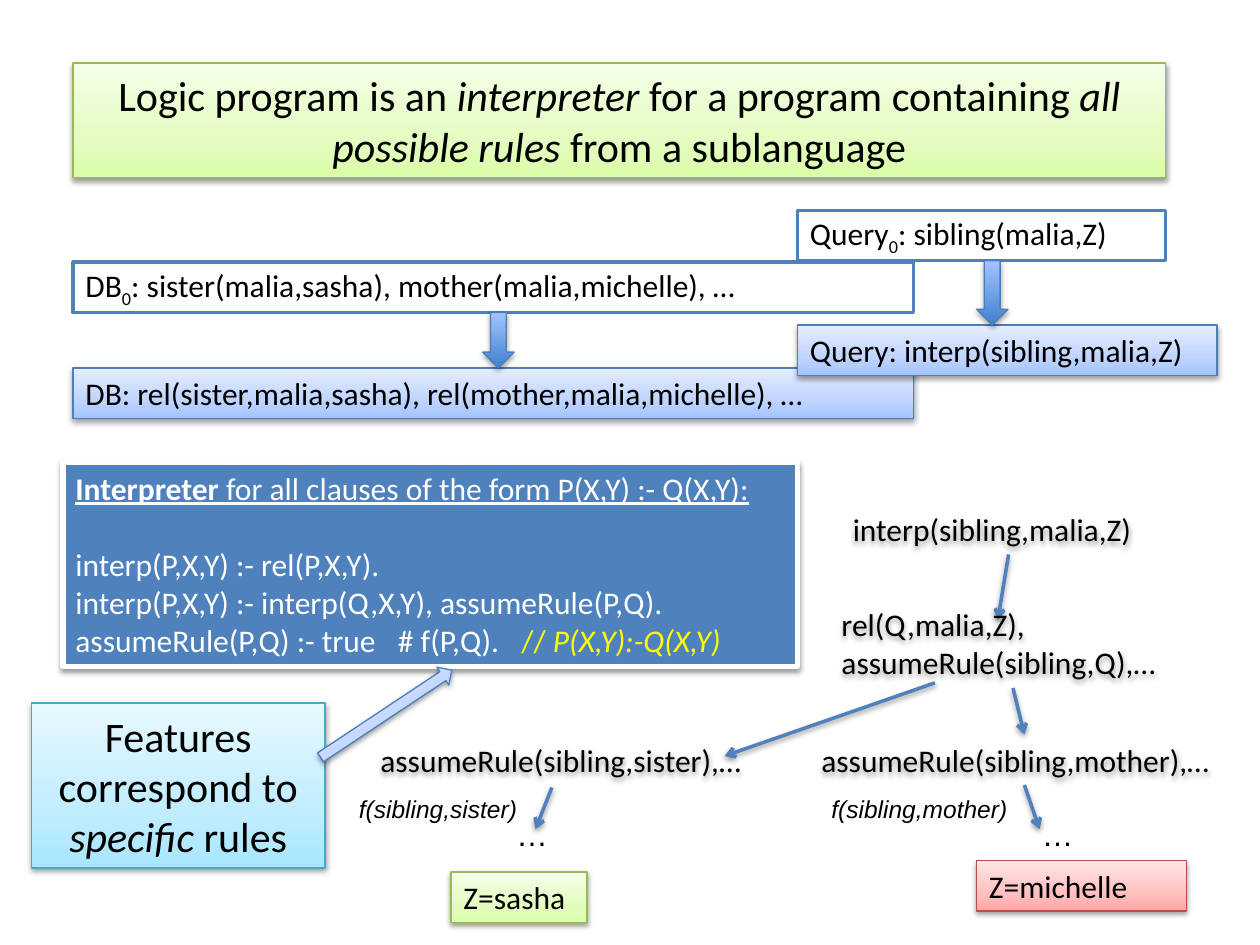
from copy import deepcopy

from lxml import etree
from pptx import Presentation
from pptx.dml.color import RGBColor as RGB
from pptx.enum.shapes import MSO_CONNECTOR as Link, MSO_SHAPE as Geo
from pptx.enum.text import MSO_ANCHOR as Anchor, MSO_AUTO_SIZE as Auto, PP_ALIGN as Align
from pptx.oxml.ns import qn
from pptx.util import Inches, Pt

BLACK = RGB(0x00, 0x00, 0x00)
WHITE = RGB(0xFF, 0xFF, 0xFF)
YELLOW = RGB(0xFF, 0xFF, 0x00)
BLUE = RGB(0x4F, 0x81, 0xBD)
EDGE = RGB(0x4B, 0x7E, 0xBC)
LIME = RGB(0x98, 0xB9, 0x55)
TEAL = RGB(0x46, 0xAA, 0xC5)
BRICK = RGB(0xBF, 0x4C, 0x48)
GREENS = (RGB(0xDA, 0xFD, 0xA7), RGB(0xE4, 0xFC, 0xC2), RGB(0xF5, 0xFF, 0xE7))
BLUES = (RGB(0xA4, 0xC4, 0xFF), RGB(0xBF, 0xD4, 0xFF), RGB(0xE6, 0xEE, 0xFF))
AQUAS = (RGB(0xA7, 0xE6, 0xFF), RGB(0xC1, 0xED, 0xFF), RGB(0xE7, 0xF8, 0xFF))
REDS = (RGB(0xFF, 0xA6, 0xA5), RGB(0xFF, 0xC0, 0xBF), RGB(0xFF, 0xE7, 0xE7))
DEEP = (RGB(0x3F, 0x80, 0xCE), RGB(0xA4, 0xC4, 0xFF))
ITALIC = {"italic": True}
ROW = 0.4


def shade(shape, on=True):
    """Give a shape a soft shadow below it, or none."""
    props = shape._element.spPr
    for old in props.findall(qn("a:effectLst")):
        props.remove(old)
    group = etree.SubElement(props, qn("a:effectLst"))
    if on:
        cast = etree.SubElement(group, qn("a:outerShdw"), blurRad="40000",
                                dist="20000", dir="5400000", rotWithShape="0")
        tint = etree.SubElement(cast, qn("a:srgbClr"), val="000000")
        etree.SubElement(tint, qn("a:alpha"), val="38000")


def paint(shape, fill, edge, width=0.75, shadow=True):
    """Fill a shape with one colour or an upward gradient, and outline it."""
    if isinstance(fill, RGB):
        shape.fill.solid()
        shape.fill.fore_color.rgb = fill
    else:
        shape.fill.gradient()
        shape.fill.gradient_angle = 90
        first = next(shape._element.spPr.iter(qn("a:gs")))
        if len(fill) == 3:
            first.addnext(deepcopy(first))
        places = (0, 0.35, 1) if len(fill) == 3 else (0, 1)
        for stop, color, place in zip(shape.fill.gradient_stops, fill, places):
            stop.color.rgb = color
            stop.position = place
    shape.line.color.rgb = edge
    shape.line.width = Pt(width)
    shade(shape, shadow)


def write(para, parts, size=18, color=BLACK, face="Calibri", align=Align.LEFT):
    """Write runs given as (text, font settings) pairs."""
    para.alignment = align
    for text, style in parts:
        run = para.add_run()
        run.text = text
        font = run.font
        font.name, font.size = face, Pt(size)
        font.color.rgb = style.get("color", color)
        for name in ("bold", "italic", "underline"):
            setattr(font, name, style.get(name, False))
        if "base" in style:
            font._element.set("baseline", style["base"])


def panel(slide, box, fill, edge, width=0.75, shadow=True, kind=Geo.RECTANGLE):
    """Add a painted shape at a box in inches."""
    shape = slide.shapes.add_shape(kind, *map(Inches, box))
    paint(shape, fill, edge, width, shadow)
    shape.text_frame.word_wrap = True
    return shape


def label(slide, box, text, glow=True, **look):
    """Add plain text at a box in inches."""
    shape = slide.shapes.add_textbox(*map(Inches, box))
    shape.text_frame.word_wrap = True
    write(shape.text_frame.paragraphs[0], [(text, look.pop("style", {}))], **look)
    if glow:
        shade(shape)
    return shape


def arrow(slide, start, end, source=None, target=None):
    """Draw an arrow, joined to a source's bottom or a target's top."""
    line = slide.shapes.add_connector(Link.STRAIGHT, *map(Inches, start + end))
    line.line.color.rgb = BLUE
    line.line.width = Pt(2)
    etree.SubElement(line.line._get_or_add_ln(), qn("a:tailEnd"), type="arrow")
    shade(line)
    if source is not None:
        line.begin_connect(source, 2)
    if target is not None:
        line.end_connect(target, 0)


def head(slide, box):
    """Fill the title banner."""
    title = slide.shapes.title
    title.left, title.top, title.width, title.height = map(Inches, box)
    paint(title, GREENS, LIME)
    frame = title.text_frame
    frame.auto_size = Auto.NONE
    frame.word_wrap = True
    write(frame.paragraphs[0], [
        ("Logic program is an ", {}), ("interpreter", ITALIC),
        (" for a program containing ", {}), ("all possible rules ", ITALIC),
        ("from a sublanguage", {})], 24, align=Align.CENTER)


def code(slide, box):
    """Place the interpreter's clauses."""
    shape = panel(slide, box, BLUE, WHITE, 3)
    frame = shape.text_frame
    frame.vertical_anchor = Anchor.TOP
    lines = [
        [("Interpreter", {"bold": True, "underline": True}),
         (" for all clauses of the form P(X,Y) :- Q(X,Y):", {"underline": True})],
        [("interp(P,X,Y) :- rel(P,X,Y).", {})],
        [("interp(P,X,Y) :- interp(Q,X,Y), assumeRule(P,Q).", {})],
        [("assumeRule(P,Q) :- true\t# f(P,Q).\t", {}), ("// ", {"color": YELLOW}),
         ("P(X,Y):-Q(X,Y)", {"color": YELLOW, "italic": True})]]
    paras = [frame.paragraphs[0]] + [frame.add_paragraph() for _ in lines[1:]]
    tabs = etree.SubElement(paras[-1]._p.get_or_add_pPr(), qn("a:tabLst"))
    for place in (2.56, 3.54):
        etree.SubElement(tabs, qn("a:tab"), pos=str(Inches(place)), algn="l")
    for para, parts in zip(paras, lines):
        write(para, parts, color=WHITE)
    paras[1].space_before = Pt(22)


def recast(slide, box, wide, mid, name, facts, result):
    """Place a statement, its rewritten form below, and the arrow between."""
    left, top, width, height = box
    shape = panel(slide, (left, top, width, ROW), WHITE, BLUE, 2, False)
    write(shape.text_frame.paragraphs[0],
          [(name, {}), ("0", {"base": "-25000"}), (facts, {})])
    below = panel(slide, (left, top + height - ROW, wide, ROW), BLUES, EDGE)
    write(below.text_frame.paragraphs[0], [(result, {})])
    panel(slide, (left + mid, top + ROW, 0.25, height - 2 * ROW), DEEP, EDGE,
          kind=Geo.DOWN_ARROW)


def note(slide, box):
    """Place the remark on features and its pointer."""
    left, top, width, height = box
    shape = panel(slide, box, AQUAS, TEAL)
    write(shape.text_frame.paragraphs[0], [
        ("Features correspond to ", {}), ("specific ", ITALIC), ("rules", {})],
        24, align=Align.CENTER)
    hint = panel(slide, (left + 2.19, top, 1.25, 0.17), BLUES, EDGE,
                 kind=Geo.RIGHT_ARROW)
    hint.rotation = 326.4


def tree(slide, box):
    """Place the proof tree with its two branches."""
    x, y = box[:2]
    root = label(slide, (x + 3.92, y, 2.67, ROW), "interp(sibling,malia,Z)")
    arrow(slide, (x + 5.25, y + 0.4), (x + 5.17, y + 0.92), root)
    goal = label(slide, (x + 3.83, y + 0.75, 2.92, 0.71),
                 "rel(Q,malia,Z), assumeRule(sibling,Q),…")
    right = label(slide, (x + 3.67, y + 1.83, 3.42, ROW), "assumeRule(sibling,mother),…")
    label(slide, (x + 0.17, y + 1.83, 3.1, ROW), "assumeRule(sibling,sister),…")
    arrow(slide, (x + 4.67, y + 1.42), (x + 3, y + 2))
    arrow(slide, (x + 5.29, y + 1.46), (x + 5.37, y + 1.83), goal, right)
    arrow(slide, (x + 1.63, y + 2.25), (x + 1.5, y + 2.58))
    arrow(slide, (x + 5.37, y + 2.24), (x + 5.5, y + 2.58), right)
    leaves = [((x + 0.83, y + 2.92, 1.08, ROW), "Z=sasha", GREENS, LIME),
              ((x + 5, y + 2.83, 1.67, ROW), "Z=michelle", REDS, BRICK)]
    for place, text, fill, edge in leaves:
        leaf = panel(slide, place, fill, edge)
        write(leaf.text_frame.paragraphs[0], [(text, {})])
    for dx, text, dots in ((0, "f(sibling,sister)", 1.25), (3.75, "f(sibling,mother)", 5.42)):
        label(slide, (x + dx, y + 2.25, 1.72, 0.34), text, False,
              size=14, face="Arial", style=ITALIC)
        label(slide, (x + dots, y + 2.42, 0.45, ROW), "…", False, face="Arial")


def main():
    """Build and save the slide."""
    deck = Presentation()
    deck.slide_width, deck.slide_height = Inches(10), Inches(7.5)
    slide = deck.slides.add_slide(deck.slide_layouts[5])
    head(slide, (0.58, 0.5, 8.67, 0.91))
    code(slide, (0.5, 3.67, 5.83, 1.62))
    recast(slide, (0.58, 2.08, 6.67, 1.24), 6.67, 3.25, "DB",
           ": sister(malia,sasha), mother(malia,michelle), …",
           "DB: rel(sister,malia,sasha), rel(mother,malia,michelle), …")
    recast(slide, (6.33, 1.67, 2.92, 1.31), 3.33, 1.42, "Query",
           ": sibling(malia,Z)", "Query: interp(sibling,malia,Z)")
    note(slide, (0.25, 5.58, 2.33, 1.31))
    tree(slide, (2.75, 4, 7.09, 3.32))
    deck.save("out.pptx")


if __name__ == "__main__":
    main()
